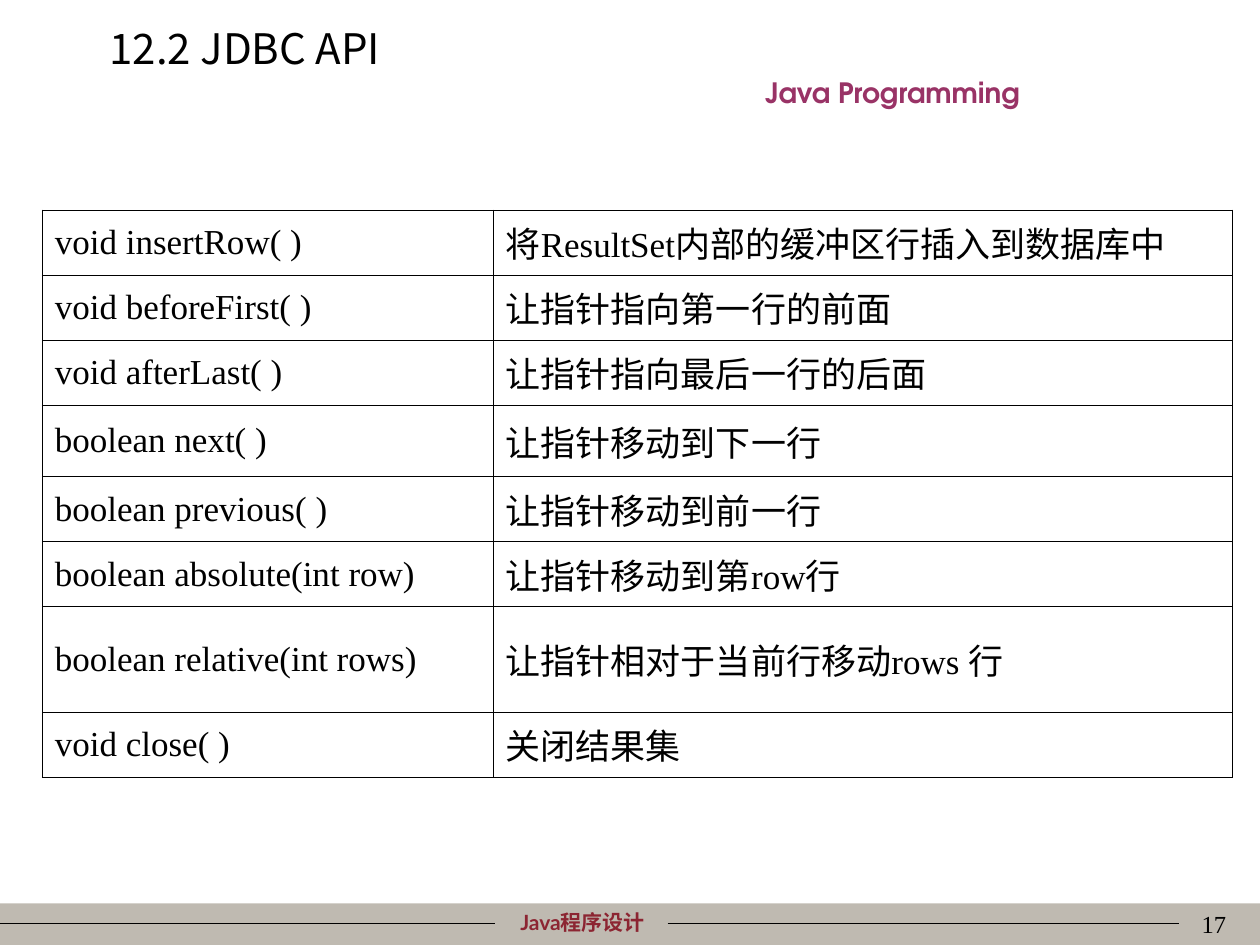
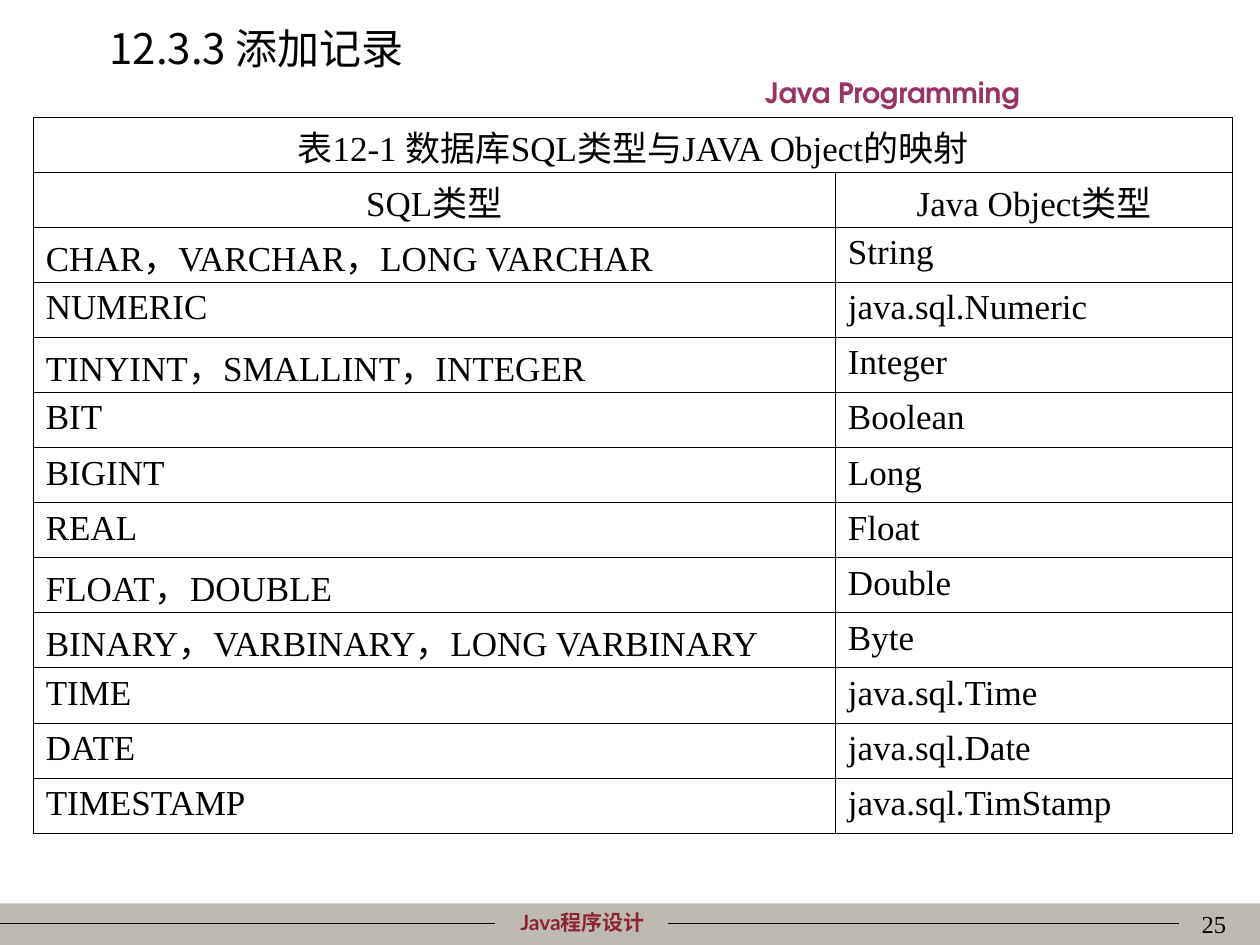
from lxml import etree
from pptx import Presentation
from pptx import util as u
from pptx.dml import color
from pptx.enum import shapes, text
from pptx.oxml import ns

COLORS = {"ink": "000000", "band": "BFBAB1", "course": "8C2532", "heading": "993366"}
SERIF, CJK = "Times New Roman", "Noto Sans CJK SC"
LEFT, CENTER, RIGHT = text.PP_ALIGN.LEFT, text.PP_ALIGN.CENTER, text.PP_ALIGN.RIGHT
TOP, MIDDLE = text.MSO_ANCHOR.TOP, text.MSO_ANCHOR.MIDDLE
BORDER = 0.34
TYPE_ROW = 1.11

SLIDES = [
    {
        "title": "12.2 JDBC API", "number": "17", "anchor": MIDDLE,
        "at": (0.85, 4.23), "columns": (9.09, 14.91), "header_rows": 0,
        "heights": [1.31, 1.31, 1.31, 1.45, 1.31, 1.31, 2.12, 1.31],
        "rows": [
            ("void insertRow( )", "将ResultSet内部的缓冲区行插入到数据库中"),
            ("void beforeFirst( )", "让指针指向第一行的前面"),
            ("void afterLast( )", "让指针指向最后一行的后面"),
            ("boolean next( )", "让指针移动到下一行"),
            ("boolean previous( )", "让指针移动到前一行"),
            ("boolean absolute(int row)", "让指针移动到第row行"),
            ("boolean relative(int rows)", "让指针相对于当前行移动rows 行"),
            ("void close( )", "关闭结果集"),
        ],
    },
    {
        "title": "12.3.3 添加记录", "number": "25", "anchor": TOP,
        "at": (0.67, 2.36), "columns": (16.17, 8.01), "header_rows": 2,
        "heights": [TYPE_ROW] * 13,
        "rows": [
            ("表12-1 数据库SQL类型与JAVA Object的映射",),
            ("SQL类型", "Java Object类型"),
            ("CHAR，VARCHAR，LONG VARCHAR", "String"),
            ("NUMERIC", "java.sql.Numeric"),
            ("TINYINT，SMALLINT，INTEGER", "Integer"),
            ("BIT", "Boolean"),
            ("BIGINT", "Long"),
            ("REAL", "Float"),
            ("FLOAT，DOUBLE", "Double"),
            ("BINARY，VARBINARY，LONG VARBINARY", "Byte"),
            ("TIME", "java.sql.Time"),
            ("DATE", "java.sql.Date"),
            ("TIMESTAMP", "java.sql.TimStamp"),
        ],
    },
]


def write(frame, content, size=20, font=SERIF, ink="ink", bold=False, align=LEFT):
    frame.word_wrap = True
    paragraph = frame.paragraphs[0]
    paragraph.alignment = align
    run = paragraph.add_run()
    run.text = content
    run.font.size = u.Pt(size)
    run.font.bold = bold
    run.font.color.rgb = color.RGBColor.from_string(COLORS[ink])
    run.font.name = font
    etree.SubElement(run.font._element, ns.qn("a:ea"), typeface=CJK)


def draw_borders(cell):
    properties = cell._tc.get_or_add_tcPr()
    for side in ("a:lnL", "a:lnR", "a:lnT", "a:lnB"):
        line = etree.SubElement(properties, ns.qn(side), w=str(u.Pt(BORDER)))
        fill = etree.SubElement(line, ns.qn("a:solidFill"))
        etree.SubElement(fill, ns.qn("a:srgbClr"), val=COLORS["ink"])


presentation = Presentation()
presentation.slide_width, presentation.slide_height = u.Cm(25.4), u.Cm(19.05)

for content in SLIDES:
    slide = presentation.slides.add_slide(presentation.slide_layouts[6])

    # Footer band and its two rules
    band = slide.shapes.add_shape(
        shapes.MSO_SHAPE.RECTANGLE, 0, u.Cm(18.21), u.Cm(25.4), u.Cm(0.84))
    band.shadow.inherit = False
    band.fill.solid()
    band.fill.fore_color.rgb = color.RGBColor.from_string(COLORS["band"])
    band.line.fill.background()
    for start, end in ((0, 9.98), (13.46, 23.77)):
        rule = slide.shapes.add_connector(
            shapes.MSO_CONNECTOR.STRAIGHT, u.Cm(start), u.Cm(18.62), u.Cm(end), u.Cm(18.62))
        rule.line.width = u.Pt(0.75)
        rule.line.color.rgb = color.RGBColor.from_string(COLORS["ink"])
        etree.SubElement(rule._element.spPr, ns.qn("a:effectLst"))

    # Course name, heading, page number and title
    for box, anchor, label, style in (
        ((9.19, 18.21, 5.11, 0.76), TOP, "Java程序设计",
         dict(size=12, font="Lato", ink="course", bold=True, align=CENTER)),
        ((12.9, 1.4, 10.19, 0.94), TOP, "Java Programming",
         dict(size=16, font="TeX Gyre Adventor", ink="heading", bold=True, align=CENTER)),
        ((19.69, 18.21, 5.28, 1.27), TOP, content["number"], dict(size=14, align=RIGHT)),
        ((1.96, 0.33, 21.59, 1.27), MIDDLE, content["title"], dict(size=24, font=CJK)),
    ):
        shape = slide.shapes.add_textbox(*map(u.Cm, box))
        shape.text_frame.vertical_anchor = anchor
        write(shape.text_frame, label, **style)

    # Table
    rows, columns, heights = content["rows"], content["columns"], content["heights"]
    table = slide.shapes.add_table(
        len(rows), len(columns), *map(u.Cm, content["at"]),
        u.Cm(sum(columns)), u.Cm(sum(heights))).table
    table.first_row = table.horz_banding = False
    for column, width in zip(table.columns, columns):
        column.width = u.Cm(width)
    for index, (values, height) in enumerate(zip(rows, heights)):
        table.rows[index].height = u.Cm(height)
        for cell in table.rows[index].cells:
            draw_borders(cell)
            cell.fill.background()
        if len(values) < len(columns):
            table.cell(index, 0).merge(table.cell(index, len(columns) - 1))
        for position, value in enumerate(values):
            cell = table.cell(index, position)
            cell.vertical_anchor = content["anchor"]
            # Chinese glyphs are taller, so the low rows need tighter margins
            if height == TYPE_ROW and not value.isascii():
                cell.margin_top, cell.margin_bottom = u.Cm(0.07), 0
            write(cell.text_frame, value,
                  align=CENTER if index < content["header_rows"] else LEFT)

presentation.save("out.pptx")
